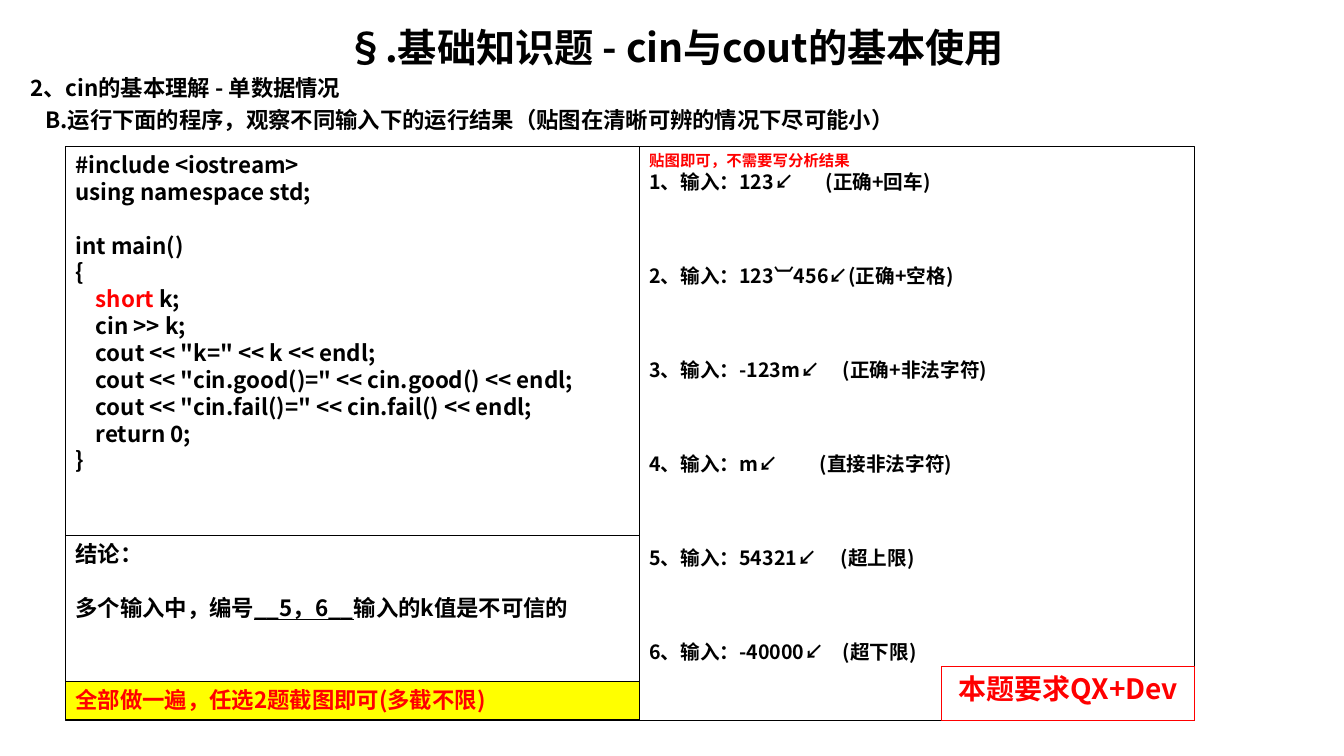
from lxml import etree
from pptx import Presentation
from pptx.dml.color import RGBColor
from pptx.enum.shapes import MSO_SHAPE
from pptx.enum.text import MSO_ANCHOR, PP_ALIGN
from pptx.oxml.ns import qn
from pptx.util import Inches, Pt

COLORS = {"black": "000000", "red": "FF0000", "yellow": "FFFF00"}
FONT = "Noto Sans CJK SC"
LINE = 1.2  # line pitch as a multiple of the text size

prs = Presentation()
prs.slide_width, prs.slide_height = Inches(13.33), Inches(7.5)
s = prs.slides.add_slide(prs.slide_layouts[6])


def add_text(tf, text, size=16, color="black", align=PP_ALIGN.LEFT, before=0,
             indent=0, tab=None, highlight=None, underline=None):
    """Add a paragraph; highlight is a red part, underline an underlined part."""
    p = tf.paragraphs[0]
    if p.runs:
        p = tf.add_paragraph()
    p.alignment = align
    p.line_spacing = Pt(size * LINE)
    p.space_before = Pt(before)
    pPr = p._p.get_or_add_pPr()
    if indent:
        pPr.set("marL", str(Inches(indent)))
    if tab:
        tabs = etree.SubElement(pPr, qn("a:tabLst"))
        etree.SubElement(tabs, qn("a:tab"), pos=str(Inches(tab)), algn="l")
    special = highlight or underline
    parts = text.partition(special) if special else (text,)
    for part in filter(None, parts):
        r = p.add_run()
        r.text = part
        r.font.size, r.font.bold, r.font.name = Pt(size), True, FONT
        r.font.underline = part == underline
        name = "red" if part == highlight else color
        r.font.color.rgb = RGBColor.from_string(COLORS[name])
        etree.SubElement(r._r.get_or_add_rPr(), qn("a:ea"), typeface=FONT)


def add_box(left, top, width, height, line="black", fill=None):
    """Add an outlined rectangle and return its text frame."""
    sp = s.shapes.add_shape(MSO_SHAPE.RECTANGLE, Inches(left), Inches(top),
                            Inches(width), Inches(height))
    sp.shadow.inherit = False
    sp.line.color.rgb = RGBColor.from_string(COLORS[line])
    sp.line.width = Pt(0.75)
    if fill:
        sp.fill.solid()
        sp.fill.fore_color.rgb = RGBColor.from_string(COLORS[fill])
    else:
        sp.fill.background()
    tf = sp.text_frame
    tf.word_wrap = True
    tf.vertical_anchor = MSO_ANCHOR.TOP
    return tf


# Headings
tf = s.shapes.add_textbox(Inches(0.2), Inches(0.18), Inches(12.99), Inches(7.09)).text_frame
tf.word_wrap = True
add_text(tf, "§.基础知识题 - cin与cout的基本使用", size=28, align=PP_ALIGN.CENTER)
add_text(tf, "2、cin的基本理解 - 单数据情况", before=3.2)
add_text(tf, "B.运行下面的程序，观察不同输入下的运行结果（贴图在清晰可辨的情况下尽可能小）",
         before=3.2, indent=0.15)

# Program
LEFT, TOP, LEFT_W, RIGHT_W, HEIGHT = 0.65, 1.45, 5.69, 5.51, 5.7
tf = add_box(LEFT, TOP, LEFT_W, HEIGHT)
code = [
    "#include <iostream>",
    "using namespace std;",
    "int main()",
    "{",
    "    short k;",
    "    cin >> k;",
    '    cout << "k=" << k << endl;',
    '    cout << "cin.good()=" << cin.good() << endl;',
    '    cout << "cin.fail()=" << cin.fail() << endl;',
    "    return 0;",
    "}",
]
for line in code:
    add_text(tf, line, before=16 * LINE if line == "int main()" else 0,
             highlight="short" if "short" in line else None)

# Inputs to try, each with room for a screenshot below
tf = add_box(LEFT + LEFT_W, TOP, RIGHT_W, HEIGHT)
add_text(tf, "贴图即可，不需要写分析结果", size=11, color="red")
inputs = [
    ("123↙\t(正确+回车)", 1.75),
    ("123︺456↙(正确+空格)", None),
    ("-123m↙\t(正确+非法字符)", 1.92),
    ("m↙\t(直接非法字符)", 1.69),
    ("54321↙\t(超上限)", 1.9),
    ("-40000↙\t(超下限)", 1.92),
]
for i, (text, tab) in enumerate(inputs, 1):
    add_text(tf, f"{i}、输入：{text}", size=14, tab=tab,
             before=3 * 14 * LINE if i > 1 else 0)

# Required compilers
tf = add_box(9.34, 6.61, 2.51, 0.54, line="red")
add_text(tf, "本题要求QX+Dev", size=20, color="red", align=PP_ALIGN.CENTER)

# Conclusion
tf = add_box(LEFT, 5.31, LEFT_W, 1.83)
add_text(tf, "结论：")
add_text(tf, "多个输入中，编号__5，6__输入的k值是不可信的",
         before=16 * LINE, underline="__5，6__")

# Submission note
tf = add_box(LEFT, 6.76, LEFT_W, 0.38, fill="yellow")
add_text(tf, "全部做一遍，任选2题截图即可(多截不限)", color="red")

prs.save("out.pptx")
